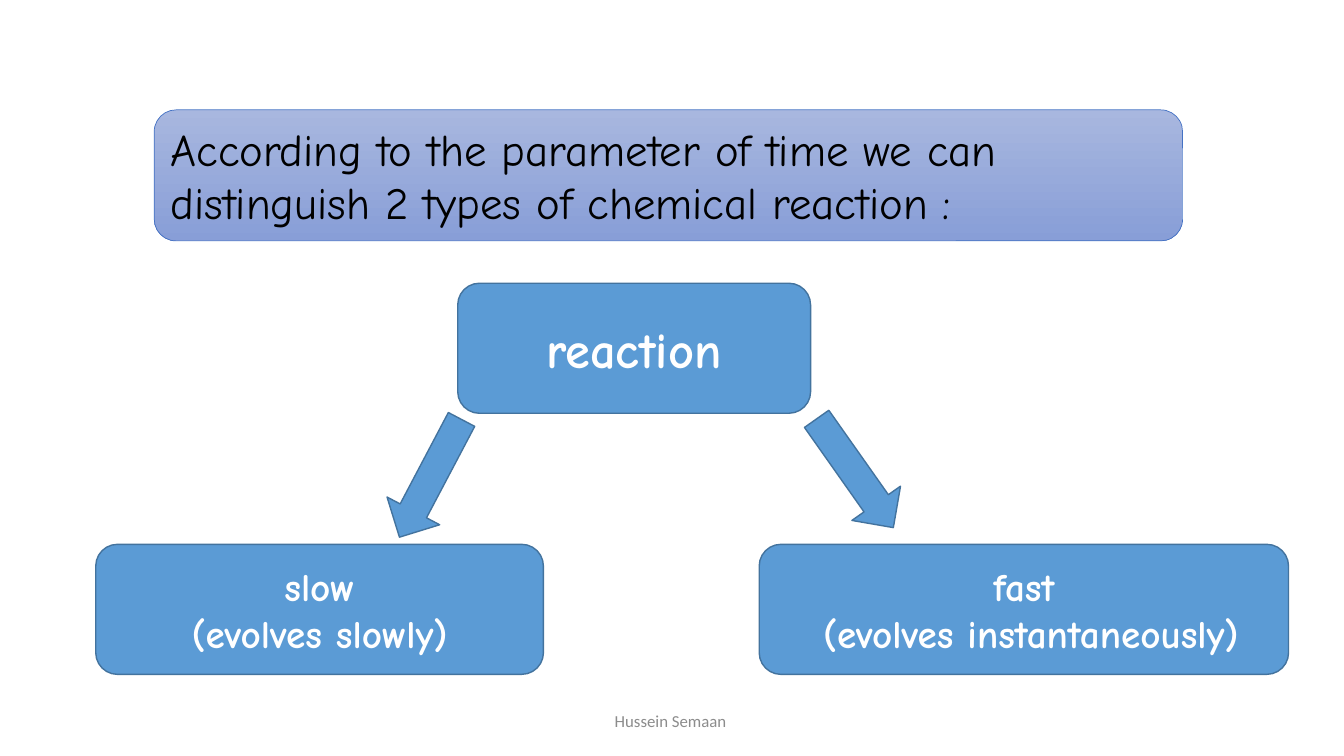
from dataclasses import dataclass

from pptx import Presentation
from pptx.dml.color import RGBColor
from pptx.enum.shapes import MSO_SHAPE
from pptx.enum.text import MSO_ANCHOR, PP_ALIGN
from pptx.util import Pt

PX = 9144
ROUNDED = MSO_SHAPE.ROUNDED_RECTANGLE
LEFT_ARROW = MSO_SHAPE.LEFT_ARROW
TOP, MIDDLE = MSO_ANCHOR.TOP, MSO_ANCHOR.MIDDLE
LEFT, CENTER = PP_ALIGN.LEFT, PP_ALIGN.CENTER


@dataclass(frozen=True)
class Theme:
    """Colours, fonts and type sizes of the slide."""
    node: str = "5B9BD5"
    node_line: str = "43739E"
    banner_top: str = "A8B7DF"
    banner_bottom: str = "889ED7"
    banner_line: str = "4472C4"
    dark: str = "000000"
    light: str = "FFFFFF"
    muted: str = "8C8C8C"
    font: str = "Comic Neue"
    footer_font: str = "Calibri"
    root_size: int = 36
    banner_size: int = 32
    branch_size: int = 28
    footer_size: int = 12


THEME = Theme()


def color(code):
    """Turn a hex code into a colour."""
    return RGBColor.from_string(code)


def place(*lengths):
    """Turn pixel lengths into EMU."""
    return [length * PX for length in lengths]


def write(box, text, *, size, ink=THEME.light, font=THEME.font, bold=False,
          align=CENTER, anchor=MIDDLE):
    """Fill a box with text, one paragraph per line."""
    frame = box.text_frame
    frame.word_wrap = True
    frame.vertical_anchor = anchor
    for index, line in enumerate(text.split("\n")):
        para = frame.add_paragraph() if index else frame.paragraphs[0]
        para.alignment = align
        span = para.add_run()
        span.text = line
        span.font.name = font
        span.font.size = Pt(size)
        span.font.bold = bold
        span.font.color.rgb = color(ink)


def add_block(page, kind, area, *, line=THEME.node_line, weight=1):
    """Add a filled, outlined shape without a shadow."""
    box = page.shapes.add_shape(kind, *place(*area))
    box.shadow.inherit = False
    box.fill.solid()
    box.fill.fore_color.rgb = color(THEME.node)
    box.line.color.rgb = color(line)
    box.line.width = Pt(weight)
    return box


def add_banner(page, area, text):
    """Add the gradient statement at the top."""
    box = add_block(page, ROUNDED, area, line=THEME.banner_line, weight=0.5)
    box.fill.gradient()
    box.fill.gradient_angle = 270
    shades = (THEME.banner_top, THEME.banner_bottom)
    for stop, shade, position in zip(box.fill.gradient_stops, shades, (0, 1)):
        stop.color.rgb = color(shade)
        stop.position = position
    write(box, text, size=THEME.banner_size, ink=THEME.dark, align=LEFT, anchor=TOP)


def add_node(page, area, text, size):
    """Add a labelled box of the diagram."""
    write(add_block(page, ROUNDED, area), text, size=size, bold=True)


def add_arrow(page, left, top, angle):
    """Add a block arrow turned towards a branch."""
    add_block(page, LEFT_ARROW, (left, top, 132, 59)).rotation = angle


def add_footer(page, area, text):
    """Add the muted footer text."""
    box = page.shapes.add_textbox(*place(*area))
    write(box, text, size=THEME.footer_size, ink=THEME.muted, font=THEME.footer_font)


def main():
    """Build the slide and save it."""
    deck = Presentation()
    deck.slide_width, deck.slide_height = place(1333, 750)
    page = deck.slides.add_slide(deck.slide_layouts[6])

    add_footer(page, (442, 695, 450, 40), "Hussein Semaan ")
    add_banner(page, (153, 109, 1020, 130),
               "According to the parameter of time we can distinguish "
               "2 types of chemical reaction :")
    add_node(page, (454, 281, 350, 129), "reaction", THEME.root_size)
    add_arrow(page, 361, 445, 297.8)
    add_node(page, (95, 540, 444, 129), "slow\n(evolves slowly)", THEME.branch_size)
    add_arrow(page, 782, 440, 234.8)
    add_node(page, (753, 540, 525, 129), "fast\n (evolves instantaneously)",
             THEME.branch_size)

    deck.save("out.pptx")


if __name__ == "__main__":
    main()
